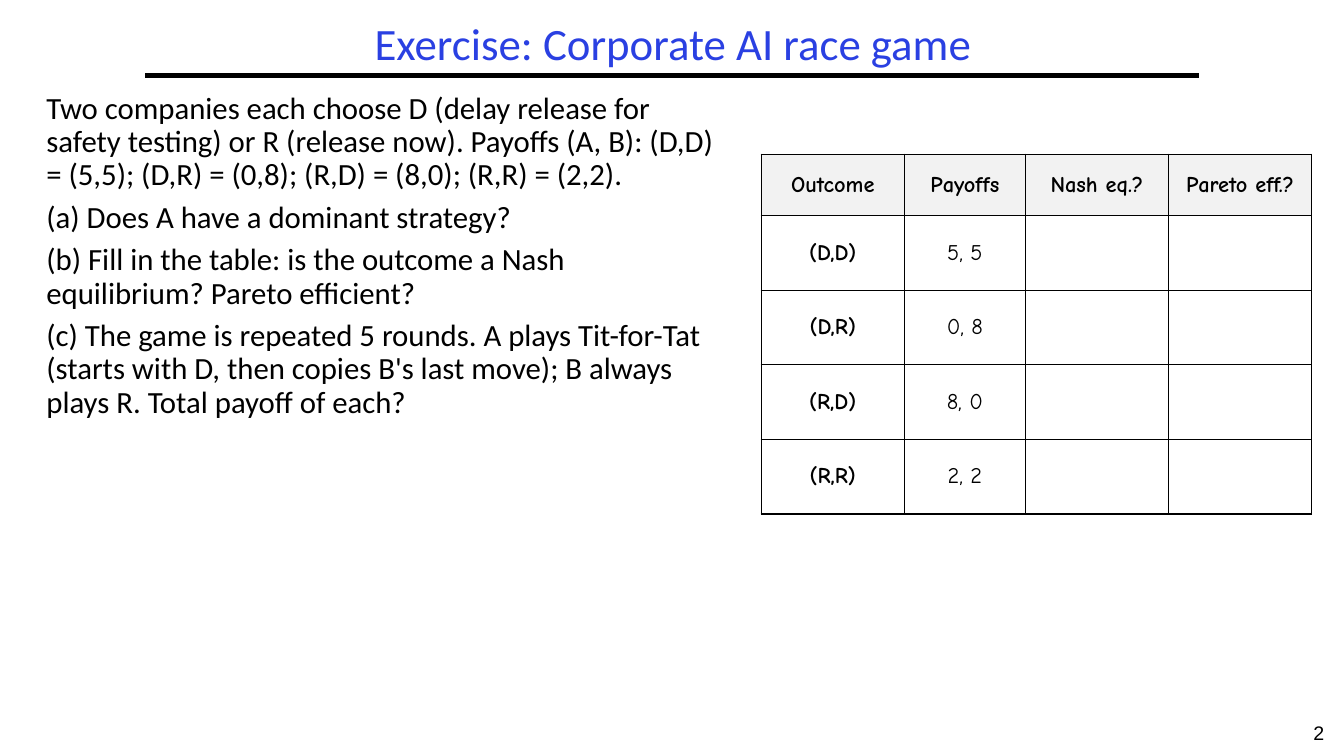
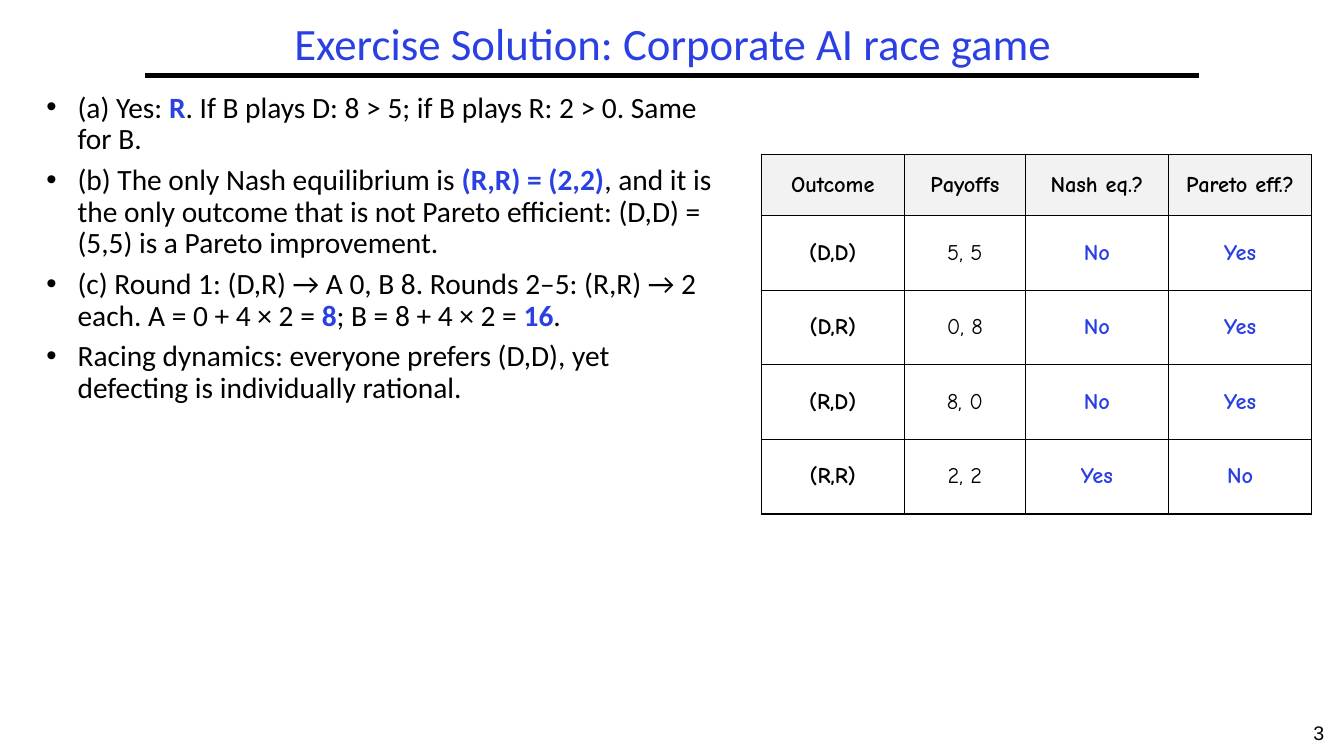
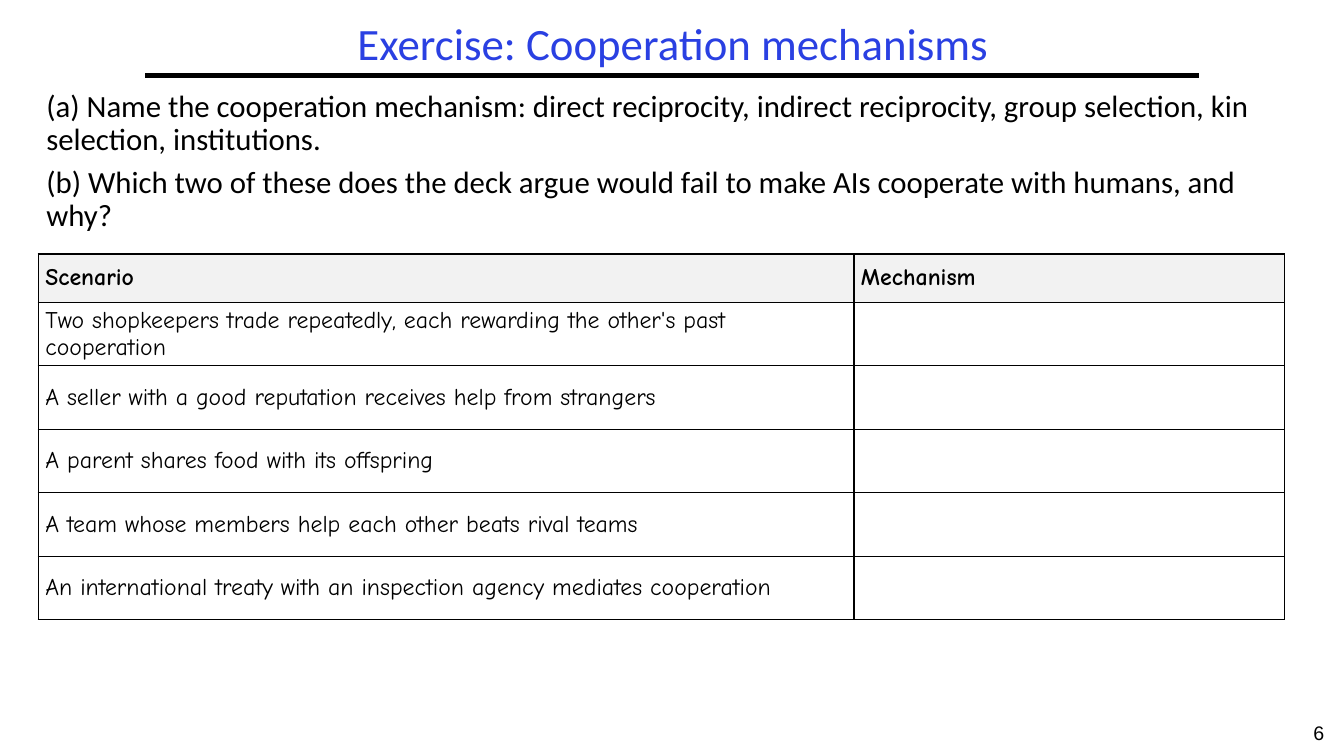
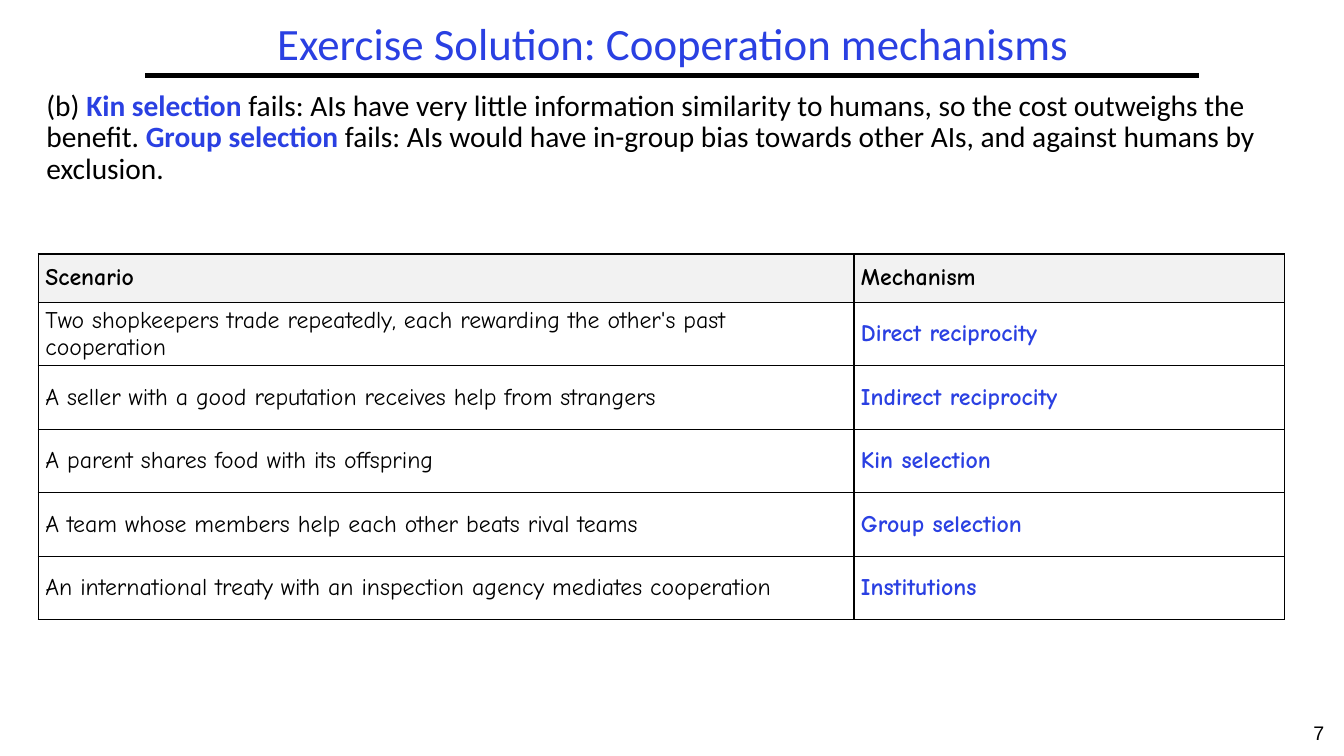
from lxml import etree
from pptx import Presentation
from pptx.dml.color import RGBColor
from pptx.enum.shapes import MSO_CONNECTOR
from pptx.enum.text import MSO_ANCHOR, MSO_AUTO_SIZE, PP_ALIGN
from pptx.oxml.ns import qn
from pptx.util import Inches, Pt

STRAIGHT = MSO_CONNECTOR.STRAIGHT
TOP, MIDDLE = MSO_ANCHOR.TOP, MSO_ANCHOR.MIDDLE
LEFT, CENTER = PP_ALIGN.LEFT, PP_ALIGN.CENTER
NO_FIT = MSO_AUTO_SIZE.NONE

BLACK, BLUE, HEADER_GREY = "000000", "2A40E2", "F2F2F2"
TEXT_FONT, TABLE_FONT, NUMBER_FONT = "Calibri", "Comic Neue", "Arial"

RACE = {
    "header": ["Outcome", "Payoffs", "Nash eq.?", "Pareto eff.?"],
    "rows": [
        ["(D,D)", "5, 5", "No", "Yes"],
        ["(D,R)", "0, 8", "No", "Yes"],
        ["(R,D)", "8, 0", "No", "Yes"],
        ["(R,R)", "2, 2", "Yes", "No"],
    ],
    "bold_columns": [0],
    "answer_columns": [2, 3],
    "left": 7.55, "top": 1.53, "widths": [1.42, 1.2, 1.42, 1.42],
    "header_height": 0.61, "row_height": 0.74, "size": 16, "align": CENTER,
    "body_box": (0.36, 0.87, 6.89, 6.01),
}
MECHANISMS = {
    "header": ["Scenario", "Mechanism"],
    "rows": [
        ["Two shopkeepers trade repeatedly, each rewarding the other's past cooperation", "Direct reciprocity"],
        ["A seller with a good reputation receives help from strangers", "Indirect reciprocity"],
        ["A parent shares food with its offspring", "Kin selection"],
        ["A team whose members help each other beats rival teams", "Group selection"],
        ["An international treaty with an inspection agency mediates cooperation", "Institutions"],
    ],
    "bold_columns": [],
    "answer_columns": [1],
    "left": 0.38, "top": 2.52, "widths": [8.09, 4.27],
    "header_height": 0.48, "row_height": 0.63, "size": 17, "align": LEFT,
    "body_box": (0.36, 0.85, 12.58, 1.66),
}

# Within each paragraph, every second run is emphasised.
SLIDES = [
    {
        "number": "2", "title": "Exercise: Corporate AI race game",
        "exercise": RACE, "solved": False, "bulleted": False, "size": 22,
        "body": [
            ["Two companies each choose D (delay release for safety testing) or R (release now). "
             "Payoffs (A, B): (D,D) = (5,5); (D,R) = (0,8); (R,D) = (8,0); (R,R) = (2,2)."],
            ["(a) Does A have a dominant strategy?"],
            ["(b) Fill in the table: is the outcome a Nash equilibrium? Pareto efficient?"],
            ["(c) The game is repeated 5 rounds. A plays Tit-for-Tat (starts with D, then copies "
             "B's last move); B always plays R. Total payoff of each?"],
        ],
    },
    {
        "number": "3", "title": "Exercise Solution: Corporate AI race game",
        "exercise": RACE, "solved": True, "bulleted": True, "size": 21,
        "body": [
            ["(a) Yes: ", "R", ". If B plays D: 8 > 5; if B plays R: 2 > 0. Same for B."],
            ["(b) The only Nash equilibrium is ", "(R,R) = (2,2)",
             ", and it is the only outcome that is not Pareto efficient: (D,D) = (5,5) is a Pareto improvement."],
            ["(c) Round 1: (D,R) → A 0, B 8. Rounds 2–5: (R,R) → 2 each. A = 0 + 4 × 2 = ", "8",
             "; B = 8 + 4 × 2 = ", "16", "."],
            ["Racing dynamics: everyone prefers (D,D), yet defecting is individually rational."],
        ],
    },
    {
        "number": "6", "title": "Exercise: Cooperation mechanisms",
        "exercise": MECHANISMS, "solved": False, "bulleted": False, "size": 22,
        "body": [
            ["(a) Name the cooperation mechanism: direct reciprocity, indirect reciprocity, "
             "group selection, kin selection, institutions."],
            ["(b) Which two of these does the deck argue would fail to make AIs cooperate with humans, and why?"],
        ],
    },
    {
        "number": "7", "title": "Exercise Solution: Cooperation mechanisms",
        "exercise": MECHANISMS, "solved": True, "bulleted": False, "size": 21,
        "body": [
            ["(b) ", "Kin selection",
             " fails: AIs have very little information similarity to humans, so the cost outweighs the benefit. ",
             "Group selection",
             " fails: AIs would have in-group bias towards other AIs, and against humans by exclusion."],
        ],
    },
]


def rgb(value):
    return RGBColor.from_string(value)


def add_run(paragraph, text, font, size, color=BLACK, bold=False):
    run = paragraph.add_run()
    run.text = text
    run.font.name = font
    run.font.size = Pt(size)
    run.font.bold = bold
    run.font.color.rgb = rgb(color)


def place(holder, box, anchor):
    holder.left, holder.top, holder.width, holder.height = map(Inches, box)
    frame = holder.text_frame
    frame.word_wrap = True
    frame.auto_size = NO_FIT
    frame.vertical_anchor = anchor
    return frame


def set_bullet(paragraph, bulleted):
    properties = paragraph._p.get_or_add_pPr()
    indent = Inches(0.31) if bulleted else 0
    properties.set("marL", str(indent))
    properties.set("indent", str(-indent))
    if bulleted:
        etree.SubElement(properties, qn("a:buFont"), typeface="Arial")
        etree.SubElement(properties, qn("a:buChar"), char="•")
    else:
        etree.SubElement(properties, qn("a:buNone"))


def add_frame(slide, title, number):
    rule = slide.shapes.add_connector(
        STRAIGHT, Inches(1.44), Inches(0.75), Inches(11.89), Inches(0.75))
    rule.line.color.rgb = rgb(BLACK)
    rule.line.width = Pt(3)
    etree.SubElement(rule._element.spPr, qn("a:effectLst"))

    heading = place(slide.shapes.title, (1.44, 0.17, 10.47, 0.58), MIDDLE).paragraphs[0]
    heading.alignment = CENTER
    heading.line_spacing = 0.9
    add_run(heading, title, TEXT_FONT, 32, BLUE)

    page = slide.shapes.add_textbox(0, 0, 0, 0)
    page_line = place(page, (12.83, 7.1, 0.5, 0.4), TOP).paragraphs[0]
    page_line.alignment = CENTER
    add_run(page_line, number, NUMBER_FONT, 14)


def add_body(slide, body, box, size, bulleted):
    frame = place(slide.placeholders[1], box, TOP)
    for index, runs in enumerate(body):
        paragraph = frame.paragraphs[0] if index == 0 else frame.add_paragraph()
        set_bullet(paragraph, bulleted)
        paragraph.line_spacing = 0.9
        paragraph.space_before = Pt(0.3 * size if index else 0)
        for position, text in enumerate(runs):
            emphasised = position % 2 == 1
            add_run(paragraph, text, TEXT_FONT, size, BLUE if emphasised else BLACK, emphasised)


def add_borders(cell):
    properties = cell._tc.get_or_add_tcPr()
    for side in ("lnL", "lnR", "lnT", "lnB"):
        border = etree.SubElement(properties, qn(f"a:{side}"), w=str(Pt(1)))
        fill = etree.SubElement(border, qn("a:solidFill"))
        etree.SubElement(fill, qn("a:srgbClr"), val=BLACK)


def add_exercise_table(slide, exercise, solved):
    rows = [exercise["header"]] + exercise["rows"]
    widths = exercise["widths"]
    heights = [exercise["header_height"]] + [exercise["row_height"]] * len(exercise["rows"])
    table = slide.shapes.add_table(
        len(rows), len(widths), Inches(exercise["left"]), Inches(exercise["top"]),
        Inches(sum(widths)), Inches(sum(heights))).table
    table.first_row = table.horz_banding = False
    for column, width in zip(table.columns, widths):
        column.width = Inches(width)
    for row, height in zip(table.rows, heights):
        row.height = Inches(height)

    for r, texts in enumerate(rows):
        for c, text in enumerate(texts):
            cell = table.cell(r, c)
            add_borders(cell)
            cell.margin_left = cell.margin_right = Inches(0.07)
            cell.margin_top = cell.margin_bottom = Inches(0.03)
            cell.vertical_anchor = MIDDLE
            is_header = r == 0
            is_answer = not is_header and c in exercise["answer_columns"]
            if is_header:
                cell.fill.solid()
                cell.fill.fore_color.rgb = rgb(HEADER_GREY)
            else:
                cell.fill.background()
            if is_answer and not solved:
                continue
            paragraph = cell.text_frame.paragraphs[0]
            paragraph.alignment = exercise["align"]
            bold = is_header or is_answer or c in exercise["bold_columns"]
            add_run(paragraph, text, TABLE_FONT, exercise["size"], BLUE if is_answer else BLACK, bold)


def main():
    deck = Presentation()
    deck.slide_width, deck.slide_height = Inches(13.33), Inches(7.5)
    for content in SLIDES:
        slide = deck.slides.add_slide(deck.slide_layouts[1])
        exercise = content["exercise"]
        add_frame(slide, content["title"], content["number"])
        add_body(slide, content["body"], exercise["body_box"], content["size"], content["bulleted"])
        add_exercise_table(slide, exercise, content["solved"])
    deck.save("out.pptx")


if __name__ == "__main__":
    main()
